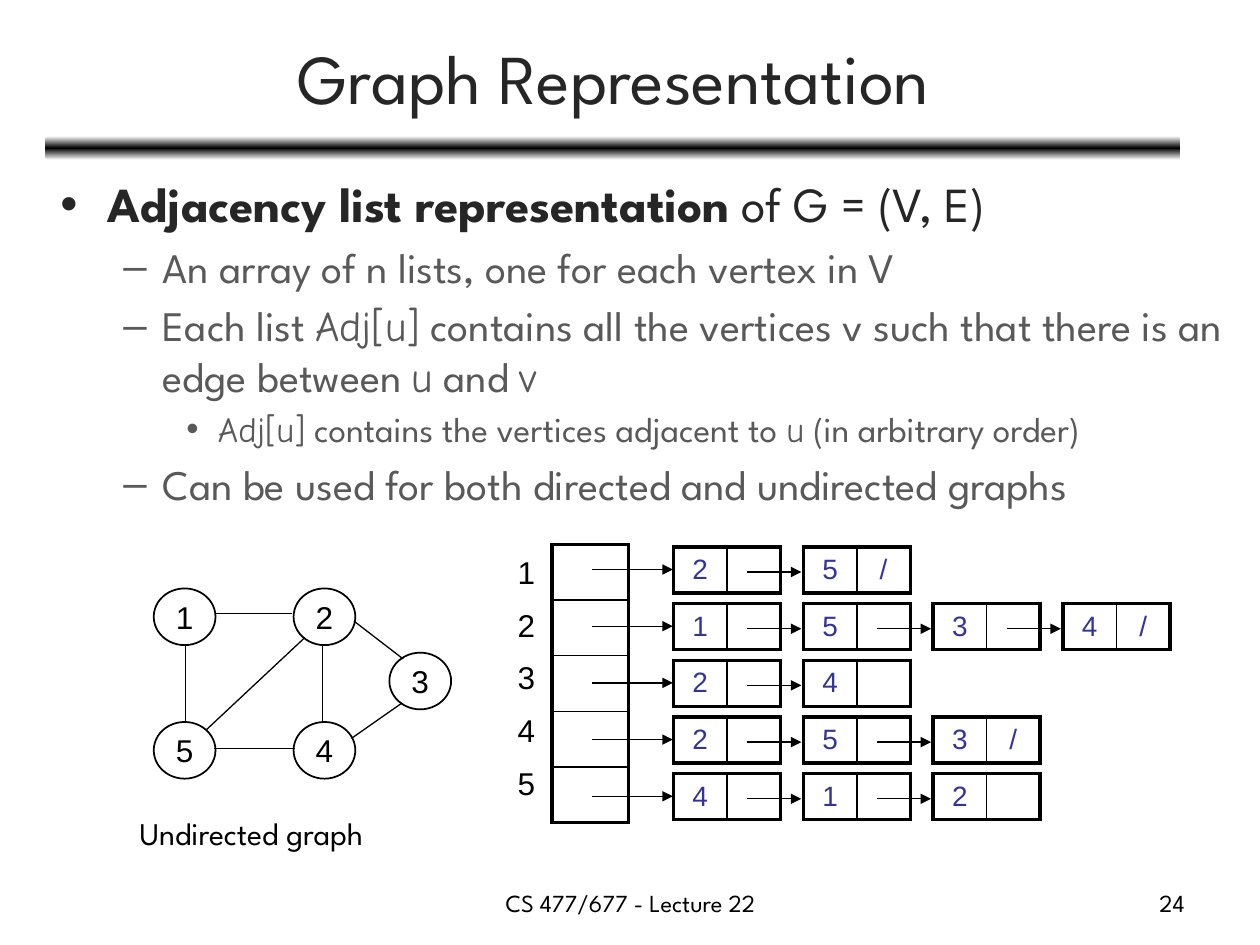
from copy import deepcopy
from lxml.etree import SubElement
from pptx import Presentation
from pptx.dml.color import RGBColor
from pptx.enum.shapes import MSO_CONNECTOR, MSO_SHAPE
from pptx.enum.text import MSO_ANCHOR, MSO_AUTO_SIZE, PP_ALIGN
from pptx.oxml.ns import qn
from pptx.util import Inches, Pt

BLACK = RGBColor(0, 0, 0)
WHITE = RGBColor(255, 255, 255)
DARK = RGBColor(0x26, 0x26, 0x26)
GRAY = RGBColor(0x59, 0x59, 0x59)
BLUE = RGBColor(0x33, 0x33, 0x99)
SANS = "League Spartan"
HAND = "Comic Neue"
THICK, THIN = Pt(2.25), Pt(1)

deck = Presentation()
deck.slide_width, deck.slide_height = Inches(10), Inches(7.5)
COL, ROW = deck.slide_width / 100, deck.slide_height / 75
slide = deck.slides.add_slide(deck.slide_layouts[1])
shapes = slide.shapes


def grid(x, y, wide, high):
    return int(x * COL), int(y * ROW), int(wide * COL), int(high * ROW)


def link(x1, y1, x2, y2, arrow=False):
    line = shapes.add_connector(MSO_CONNECTOR.STRAIGHT, *grid(x1, y1, x2, y2))
    line.line.color.rgb = BLACK
    line.line.width = Pt(0.75)
    if arrow:
        SubElement(line.line._get_or_add_ln(), qn("a:tailEnd"), type="triangle")
    SubElement(line._element.spPr, qn("a:effectLst"))


bar = shapes.add_shape(MSO_SHAPE.ROUNDED_RECTANGLE, *grid(3.6, 10.8, 90.1, 1.9))
bar.shadow.inherit = False
bar.line.fill.background()
bar.fill.gradient()
bar.fill.gradient_angle = 90
stops = bar._element.spPr.find(".//" + qn("a:gsLst"))
stops.insert(1, deepcopy(stops[0]))
for stop, spot, color in zip(bar.fill.gradient_stops, (0, 0.5, 1), (WHITE, BLACK, WHITE)):
    stop.position = spot
    stop.color.rgb = color

title = shapes.title
title.left, title.top, title.width, title.height = grid(3.7, 1.1, 90, 9.9)
title.text_frame.text = "Graph Representation"
title.text_frame.auto_size = MSO_AUTO_SIZE.NONE
title.text_frame.vertical_anchor = MSO_ANCHOR.MIDDLE
head = title.text_frame.paragraphs[0]
head.alignment = PP_ALIGN.CENTER
font = head.runs[0].font
font.name, font.size, font.color.rgb = SANS, Pt(40), DARK

body = slide.placeholders[1]
body.left, body.top, body.width, body.height = grid(3.8, 13.3, 97.7, 30.1)
frame = body.text_frame
frame.auto_size = MSO_AUTO_SIZE.NONE
levels = [(3.75, -3.75, 28, DARK), (8.13, -3.13, 24, GRAY), (12.5, -2.5, 20, GRAY)]
items = [
    (0, [("Adjacency list representation", SANS), (" of G = (V, E)", SANS)]),
    (1, [("An array of n lists, one for each vertex in V", SANS)]),
    (1, [("Each list ", SANS), ("Adj[u]", HAND),
         (" contains all the vertices v such that there is an edge between ", SANS),
         ("u", HAND), (" and ", SANS), ("v", HAND)]),
    (2, [("Adj[u]", HAND), (" contains the vertices adjacent to ", SANS),
         ("u", HAND), (" (in arbitrary order)", SANS)]),
    (1, [("Can be used for both directed and undirected graphs", SANS)]),
]
for n, (level, parts) in enumerate(items):
    para = frame.add_paragraph() if n else frame.paragraphs[0]
    para.level = level
    left, hang, size, color = levels[level]
    props = para._p.get_or_add_pPr()
    props.set("marL", str(int(left * COL)))
    props.set("indent", str(int(hang * COL)))
    for text, face in parts:
        run = para.add_run()
        run.text = text
        run.font.name, run.font.size, run.font.color.rgb = face, Pt(size), color
frame.paragraphs[0].space_before = Pt(0)
frame.paragraphs[0].runs[0].font.bold = True

nodes = [("1", 12.2, 46.7), ("2", 23.3, 46.7), ("5", 12.2, 57.3),
         ("4", 23.3, 57.3), ("3", 30.9, 51.8)]
for name, x, y in nodes:
    node = shapes.add_shape(MSO_SHAPE.OVAL, *grid(x, y, 4.9, 4.5))
    node.shadow.inherit = False
    node.fill.background()
    node.line.color.rgb, node.line.width = BLACK, THIN
    frame = node.text_frame
    frame.word_wrap = False
    frame.vertical_anchor = MSO_ANCHOR.MIDDLE
    frame.text = name
    para = frame.paragraphs[0]
    para.alignment = PP_ALIGN.CENTER
    font = para.runs[0].font
    font.name, font.size, font.color.rgb = "Arial", Pt(18), BLACK

edges = [(17.1, 48.7, 23.2, 48.7), (25.6, 51.2, 25.6, 57.3), (14.7, 57.3, 14.7, 51.1),
         (24.2, 50.6, 16.4, 57.9), (17, 59.4, 23.4, 59.4), (28.1, 49.3, 32, 52.3),
         (27.9, 58.6, 31.9, 55.8)]
for edge in edges:
    link(*edge)

lists = [["2", "5/"], ["1", "5", "3", "4/"], ["2", "4"], ["2", "5", "3/"], ["4", "1", "2"]]
STEP, PITCH = 10.3, 4.5
tables = [(43.8, 43.2, 6.1, 4.42, [[""]] * 5)]
for r, chain in enumerate(lists):
    for c, cell in enumerate(chain):
        tables.append((53.45 + STEP * c, 43.4 + PITCH * r, 4.25, 3.65, [[cell[0], cell[1:]]]))

for x, y, wide, high, rows in tables:
    down, across = len(rows), len(rows[0])
    table = shapes.add_table(down, across, *grid(x, y, wide * across, high * down)).table
    table.first_row = table.horz_banding = False
    for r, row in enumerate(rows):
        for c, text in enumerate(row):
            cell = table.cell(r, c)
            cell.margin_top = cell.margin_bottom = Inches(0.02)
            cell.vertical_anchor = MSO_ANCHOR.MIDDLE
            sides = {"L": c == 0, "R": c == across - 1, "T": r == 0, "B": r == down - 1}
            for side, outer in sides.items():
                edge = SubElement(cell._tc.get_or_add_tcPr(), qn("a:ln" + side),
                                  w=str(THICK if outer else THIN))
                SubElement(SubElement(edge, qn("a:solidFill")), qn("a:srgbClr"), val=str(BLACK))
            cell.fill.background()
            if text:
                cell.text_frame.text = text
                para = cell.text_frame.paragraphs[0]
                para.alignment = PP_ALIGN.CENTER
                font = para.runs[0].font
                font.name, font.size, font.color.rgb = "Arial", Pt(16), BLUE

for r, chain in enumerate(lists):
    y = 45.2 + PITCH * r
    link(47, y, 53.4, y, True)
    for c in range(len(chain) - 1):
        x = 59.3 + STEP * c
        link(x, y + 0.2, x + 4.3, y + 0.2, True)

notes = [(str(n + 1), 40.1, 43.4 + 4.18 * n, 3.4, 4, "Arial", 18, PP_ALIGN.LEFT)
         for n in range(5)]
notes += [("Undirected graph", 10.1, 64.1, 23.9, 4, SANS, 18, PP_ALIGN.LEFT),
          ("CS 477/677 - Lecture 22", 34.2, 70, 31.7, 3.5, SANS, 14, PP_ALIGN.CENTER),
          ("24", 71.7, 70, 23.3, 3.5, SANS, 14, PP_ALIGN.RIGHT)]
for text, x, y, wide, high, face, size, align in notes:
    note = shapes.add_textbox(*grid(x, y, wide, high))
    note.text_frame.word_wrap = True
    note.text_frame.text = text
    para = note.text_frame.paragraphs[0]
    para.alignment = align
    font = para.runs[0].font
    font.name, font.size, font.color.rgb = face, Pt(size), BLACK

deck.save("out.pptx")
